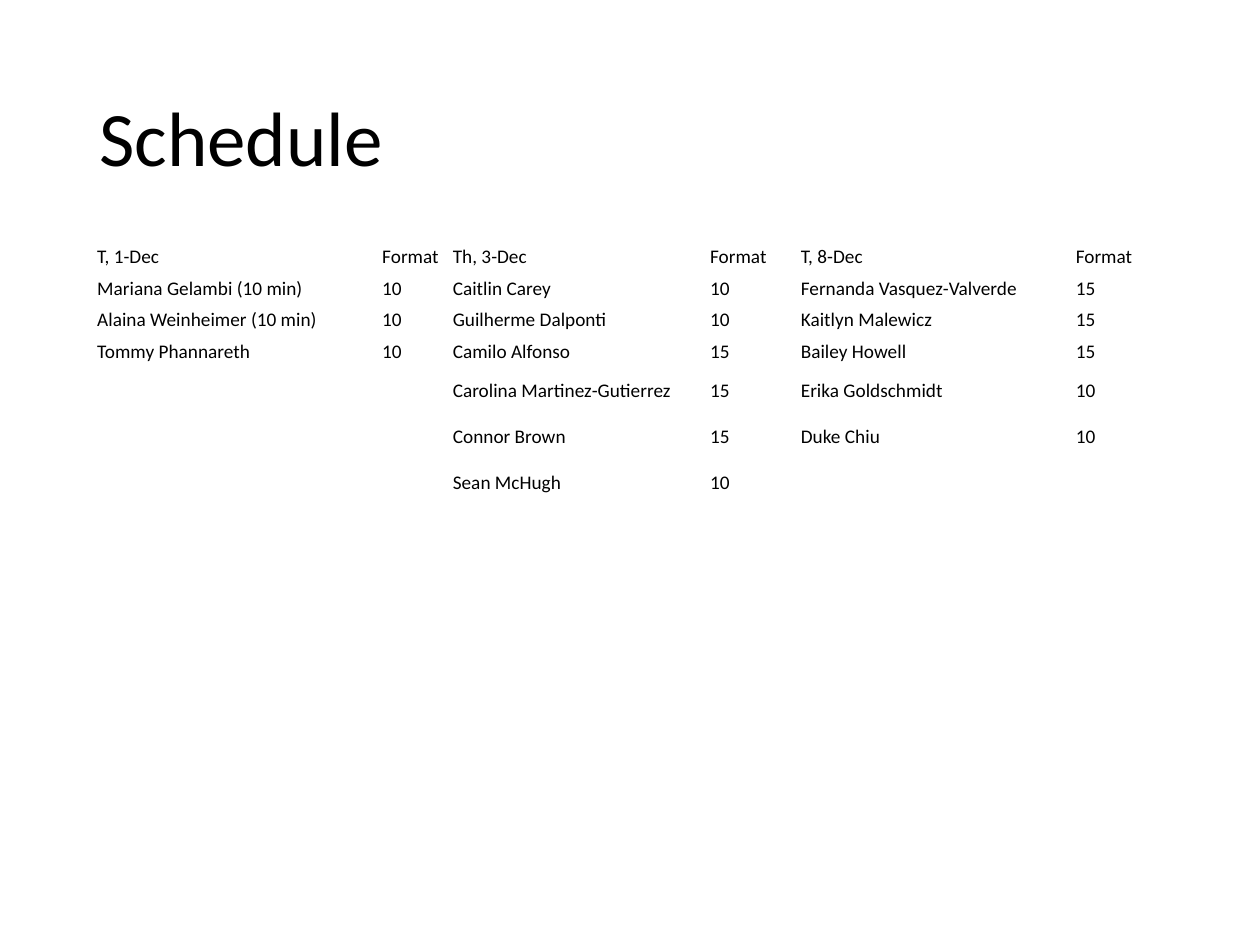
from dataclasses import dataclass
from itertools import zip_longest

from pptx import Presentation
from pptx.dml.color import RGBColor
from pptx.enum.text import MSO_ANCHOR, PP_ALIGN
from pptx.util import Cm, Pt


@dataclass(frozen=True)
class Theme:
    font: str = "Calibri"
    ink: RGBColor = RGBColor(0, 0, 0)
    paper: RGBColor = RGBColor(255, 255, 255)
    title_size: int = 44
    entry_size: int = 11


@dataclass(frozen=True)
class Box:
    left: float
    top: float
    width: float
    height: float

    def lengths(self):
        return Cm(self.left), Cm(self.top), Cm(self.width), Cm(self.height)


THEME = Theme()
DAYS = [
    ("T, 1-Dec", [
        ("Mariana Gelambi (10 min)", 10),
        ("Alaina Weinheimer (10 min)", 10),
        ("Tommy Phannareth", 10),
    ]),
    ("Th, 3-Dec", [
        ("Caitlin Carey", 10),
        ("Guilherme Dalponti", 10),
        ("Camilo Alfonso", 15),
        ("Carolina Martinez-Gutierrez", 15),
        ("Connor Brown", 15),
        ("Sean McHugh", 10),
    ]),
    ("T, 8-Dec", [
        ("Fernanda Vasquez-Valverde", 15),
        ("Kaitlyn Malewicz", 15),
        ("Bailey Howell", 15),
        ("Erika Goldschmidt", 10),
        ("Duke Chiu", 10),
    ]),
]
COLUMN_SHARES = [2.26, 0.56, 2.04, 0.72, 2.18, 0.72]
FULL_ROW, PARTIAL_ROW = 0.64, 0.93


def format_text(paragraph, size):
    for run in paragraph.runs:
        run.font.name = THEME.font
        run.font.size = Pt(size)
        run.font.color.rgb = THEME.ink


def place_title(slide, box, wording):
    title = slide.shapes.title
    title.left, title.top, title.width, title.height = box.lengths()
    frame = title.text_frame
    frame.text = wording
    frame.vertical_anchor = MSO_ANCHOR.MIDDLE
    heading = frame.paragraphs[0]
    heading.alignment = PP_ALIGN.LEFT
    heading.line_spacing = 0.9
    format_text(heading, THEME.title_size)


def fill_cell(cell, entry):
    cell.fill.solid()
    cell.fill.fore_color.rgb = THEME.paper
    cell.vertical_anchor = MSO_ANCHOR.MIDDLE
    cell.margin_left = cell.margin_right = cell.margin_top = Cm(0.03)
    cell.margin_bottom = Cm(0.12)
    if entry is not None:
        cell.text_frame.text = str(entry)
        format_text(cell.text_frame.paragraphs[0], THEME.entry_size)


def place_schedule(slide, box, days):
    listings = [[(date, "Format"), *talks] for date, talks in days]
    lines = list(zip_longest(*listings, fillvalue=(None, None)))
    schedule = slide.shapes.add_table(
        len(lines), len(COLUMN_SHARES), *box.lengths()).table
    schedule.first_row = False
    schedule.horz_banding = False
    for column, share in zip(schedule.columns, COLUMN_SHARES):
        column.width = Cm(box.width * share / sum(COLUMN_SHARES))
    for row, line in zip(schedule.rows, lines):
        entries = [entry for pair in line for entry in pair]
        row.height = Cm(PARTIAL_ROW if None in entries else FULL_ROW)
        for cell, entry in zip(row.cells, entries):
            fill_cell(cell, entry)


def main():
    deck = Presentation()
    deck.slide_width, deck.slide_height = Cm(25.4), Cm(19.05)
    slide = deck.slides.add_slide(deck.slide_layouts[5])
    place_title(slide, Box(1.75, 1.02, 21.9, 3.68), "Schedule")
    place_schedule(slide, Box(1.93, 4.9, 21.56, 5.35), DAYS)
    deck.save("out.pptx")


if __name__ == "__main__":
    main()
